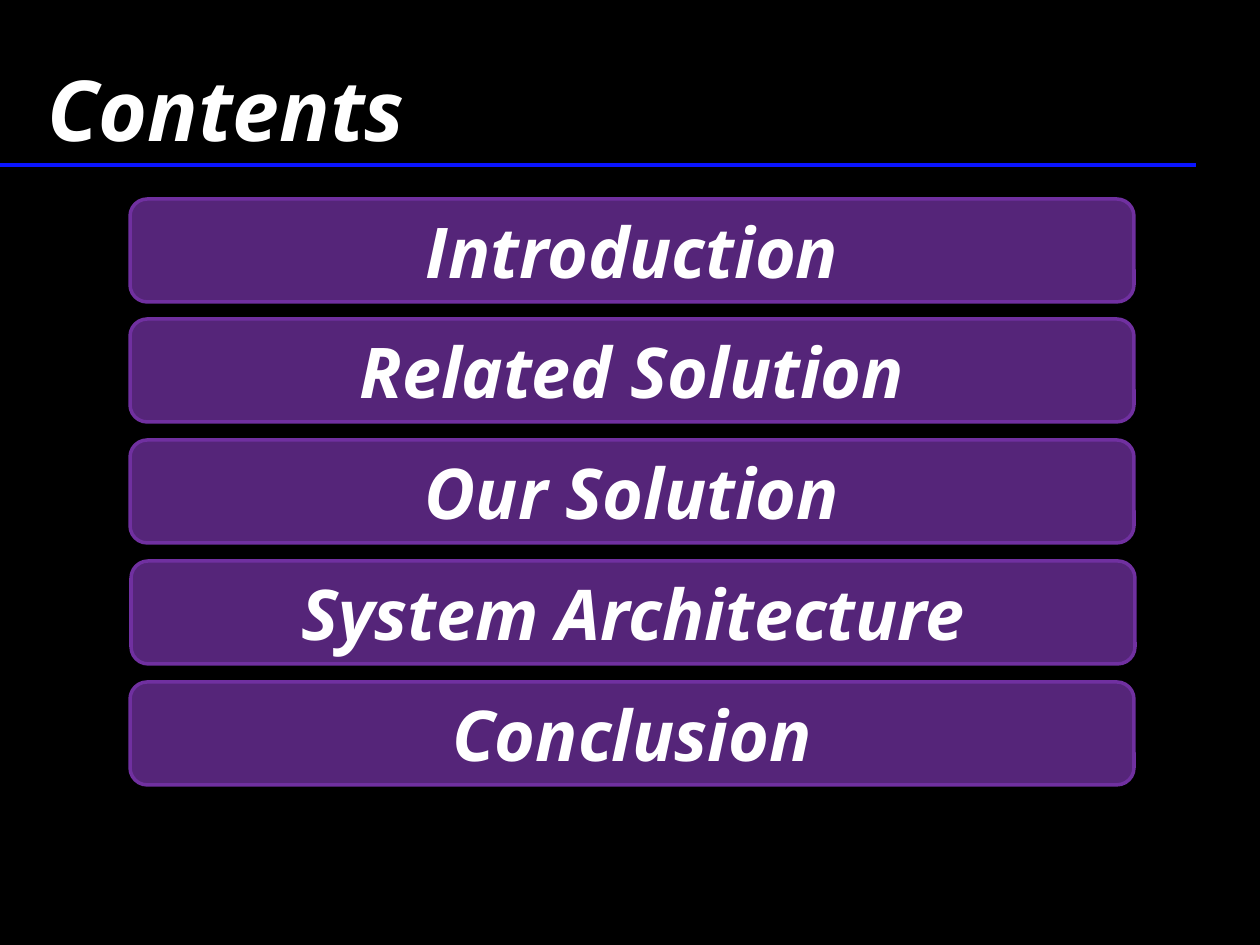
"""Build the Contents slide with five agenda bars."""
from lxml.etree import SubElement
from pptx import Presentation
from pptx.dml.color import RGBColor
from pptx.enum.shapes import MSO_CONNECTOR, MSO_SHAPE
from pptx.enum.text import MSO_ANCHOR, PP_ALIGN
from pptx.oxml.ns import qn
from pptx.util import Pt

PX = 914400 // 126
COLORS = {
    "background": "000000",
    "rule": "0A14FF",
    "bar": "552579",
    "border": "7030A0",
    "text": "FFFFFF",
}
FIRST_TOP, LAST_TOP = 199, 682
AGENDA = [
    ("Introduction", 130),
    ("Related Solution", 130),
    ("Our Solution", 130),
    ("System Architecture", 131),
    ("Conclusion", 130),
]


def color(name):
    return RGBColor.from_string(COLORS[name])


def write(frame, text, size, align):
    frame.word_wrap = True
    frame.vertical_anchor = MSO_ANCHOR.MIDDLE
    paragraph = frame.paragraphs[0]
    paragraph.text = text
    paragraph.alignment = align
    font = paragraph.font
    font.name = "Open Sans"
    font.size = Pt(size)
    font.bold = font.italic = True
    font.color.rgb = color("text")


deck = Presentation()
deck.slide_width, deck.slide_height = 1260 * PX, 945 * PX
slide = deck.slides.add_slide(deck.slide_layouts[6])
slide.background.fill.solid()
slide.background.fill.fore_color.rgb = color("background")

rule = slide.shapes.add_connector(
    MSO_CONNECTOR.STRAIGHT, 0, 165 * PX, 1196 * PX, 165 * PX)
rule.line.color.rgb = color("rule")
rule.line.width = Pt(2)
SubElement(rule.element.spPr, qn("a:effectLst"))

title = slide.shapes.add_textbox(35 * PX, 49 * PX, 874 * PX, 118 * PX)
write(title.text_frame, "Contents", 48, PP_ALIGN.LEFT)

for index, (topic, left) in enumerate(AGENDA):
    top = FIRST_TOP + (LAST_TOP - FIRST_TOP) * index // (len(AGENDA) - 1)
    bar = slide.shapes.add_shape(
        MSO_SHAPE.ROUNDED_RECTANGLE, left * PX, top * PX, 1004 * PX, 103 * PX)
    bar.shadow.inherit = False
    bar.fill.solid()
    bar.fill.fore_color.rgb = color("bar")
    bar.line.color.rgb = color("border")
    bar.line.width = Pt(2)
    write(bar.text_frame, topic, 40, PP_ALIGN.CENTER)

deck.save("out.pptx")
